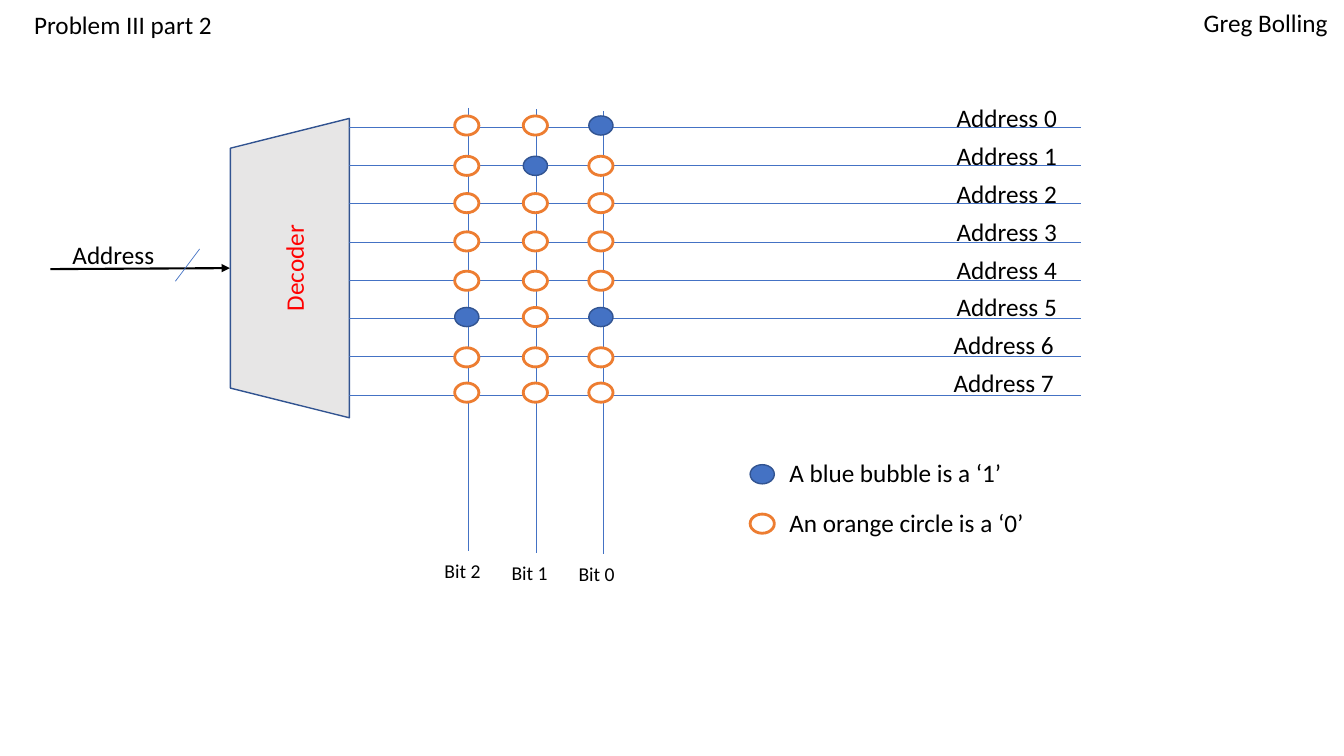
from pptx import Presentation
from pptx.dml.color import RGBColor
from pptx.enum import shapes, text
from pptx.oxml import parse_xml
from pptx.oxml.ns import nsdecls
from pptx.util import Inches, Pt

BLACK = RGBColor(0x00, 0x00, 0x00)
WHITE = RGBColor(0xFF, 0xFF, 0xFF)
RED = RGBColor(0xFF, 0x00, 0x00)
GRAY = RGBColor(0xE7, 0xE6, 0xE6)
BLUE = RGBColor(0x44, 0x72, 0xC4)
DARK_BLUE = RGBColor(0x32, 0x54, 0x91)
ORANGE = RGBColor(0xED, 0x7D, 0x31)

# Stored words, written as bits 2, 1, 0 for addresses 0 to 7
WORDS = ["001", "010", "000", "000", "000", "101", "000", "000"]
BUBBLE_LEFTS = [4.51, 5.19, 5.84]
BUBBLE_TOPS = [1.15, 1.55, 1.92, 2.3, 2.69, 3.05, 3.45, 3.8]


def add_run(p, words, size, color):
    r = p.add_run()
    r.text = words
    r.font.name = "Calibri"
    r.font.size = Pt(size)
    r.font.color.rgb = color


def add_label(s, words, x, y, w, h=0.4, size=18):
    box = s.shapes.add_textbox(Inches(x), Inches(y), Inches(w), Inches(h))
    tf = box.text_frame
    tf.word_wrap = True
    tf.auto_size = text.MSO_AUTO_SIZE.SHAPE_TO_FIT_TEXT
    add_run(tf.paragraphs[0], words, size, BLACK)


def add_line(s, x1, y1, x2, y2, color=BLUE, width=0.5, arrow=False):
    line = s.shapes.add_connector(shapes.MSO_CONNECTOR.STRAIGHT, Inches(x1),
                                  Inches(y1), Inches(x2), Inches(y2))
    line.line.color.rgb = color
    line.line.width = Pt(width)
    if arrow:
        line.line._get_or_add_ln().append(
            parse_xml(f'<a:tailEnd {nsdecls("a")} type="triangle"/>'))
    line._element.spPr.append(parse_xml(f'<a:effectLst {nsdecls("a")}/>'))


def add_preset(s, kind, x, y, w, h, fill, outline, width):
    sp = s.shapes.add_shape(kind, Inches(x), Inches(y), Inches(w), Inches(h))
    sp.shadow.inherit = False
    sp.fill.solid()
    sp.fill.fore_color.rgb = fill
    sp.line.color.rgb = outline
    sp.line.width = Pt(width)
    return sp


def add_bubble(s, bit, x, y):
    style = (BLUE, DARK_BLUE, 1) if bit == "1" else (WHITE, ORANGE, 2)
    add_preset(s, shapes.MSO_SHAPE.OVAL, x, y, 0.24, 0.19, *style)


def add_decoder(s):
    sp = add_preset(s, shapes.MSO_SHAPE.TRAPEZOID, 1.39, 2.07, 2.97, 1.18,
                    GRAY, DARK_BLUE, 1)
    sp.rotation = 270
    tf = sp.text_frame
    tf.vertical_anchor = text.MSO_ANCHOR.MIDDLE
    p = tf.paragraphs[0]
    p.alignment = text.PP_ALIGN.CENTER
    add_run(p, "Decoder", 18, RED)


def main():
    prs = Presentation()
    prs.slide_width, prs.slide_height = Inches(13.33), Inches(7.5)
    s = prs.slides.add_slide(prs.slide_layouts[6])

    # Decoder and its address input
    add_decoder(s)
    add_line(s, 0.5, 2.67, 2.28, 2.66, BLACK, 1.5, arrow=True)
    add_line(s, 1.98, 2.47, 1.74, 2.79)
    add_label(s, "Address", 0.62, 2.33, 1.18)

    # Address lines
    for row in range(len(WORDS)):
        y = 1.26 + 0.38 * row
        add_line(s, 3.46, y, 10.72, y)
        x = 9.39 if row < 6 else 9.36
        add_label(s, f"Address {row}", x, 0.97 + 0.375 * row, 1.33)

    # Bit lines
    for col in range(3):
        x, y = 4.65 + 0.665 * col, 1.07 + 0.015 * col
        add_line(s, x, y, x, y + 4.4)
        add_label(s, f"Bit {2 - col}", x - 0.34, y + 4.43, 0.67, 0.34, 14)

    # Stored bits
    for word, y in zip(WORDS, BUBBLE_TOPS):
        for bit, x in zip(word, BUBBLE_LEFTS):
            add_bubble(s, bit, x, y)

    # Legend
    for bit, words, y in [("1", "A blue bubble is a ‘1’", 4.61),
                          ("0", "An orange circle is a ‘0’", 5.1)]:
        add_bubble(s, bit, 7.44, y)
        add_label(s, words, 7.73, y - 0.12, 2.99)

    # Heading and author
    add_label(s, "Problem III part 2", 0.24, 0.04, 6.67)
    add_label(s, "Greg Bolling", 11.84, 0.02, 1.5)

    prs.save("out.pptx")


main()
